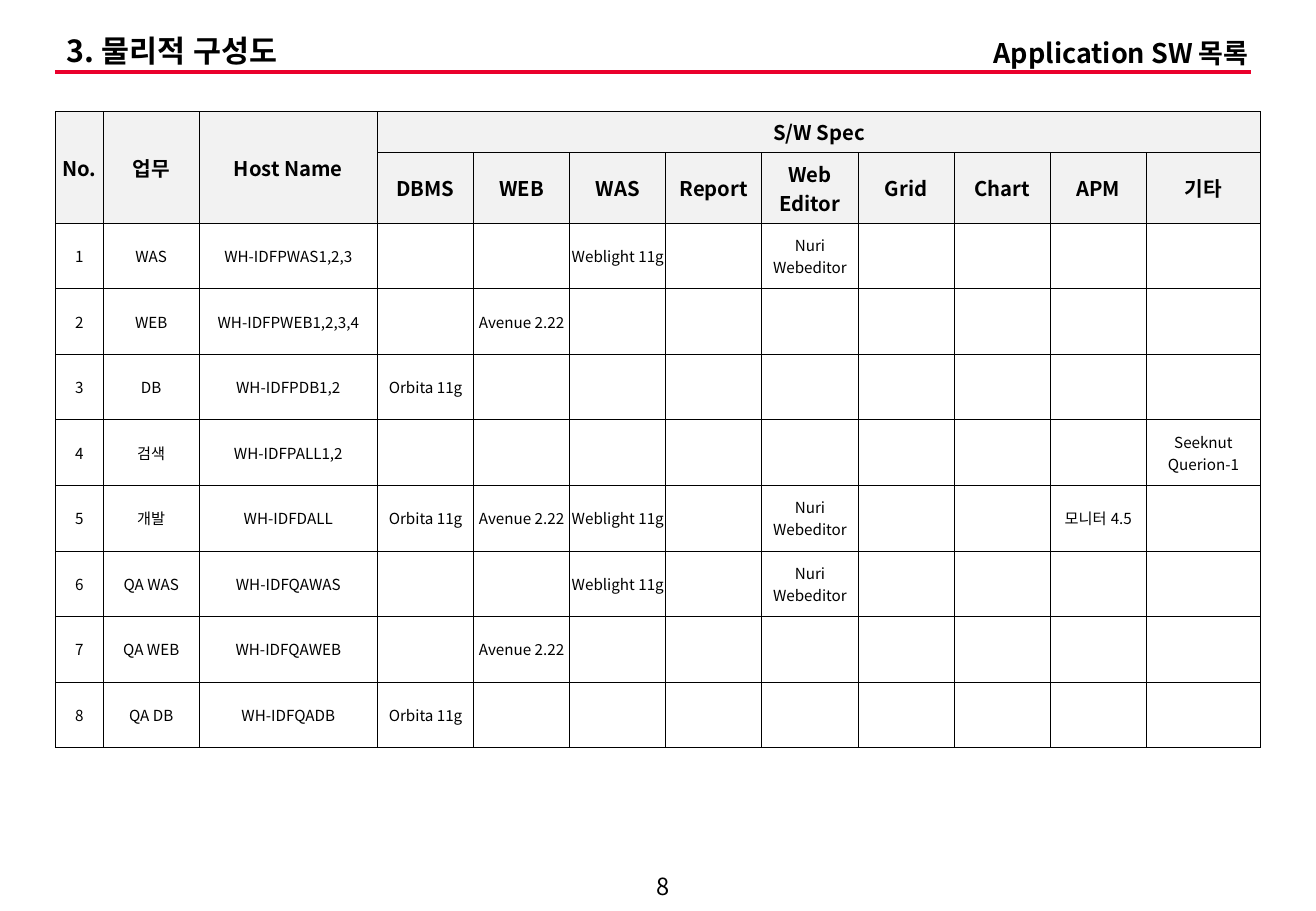
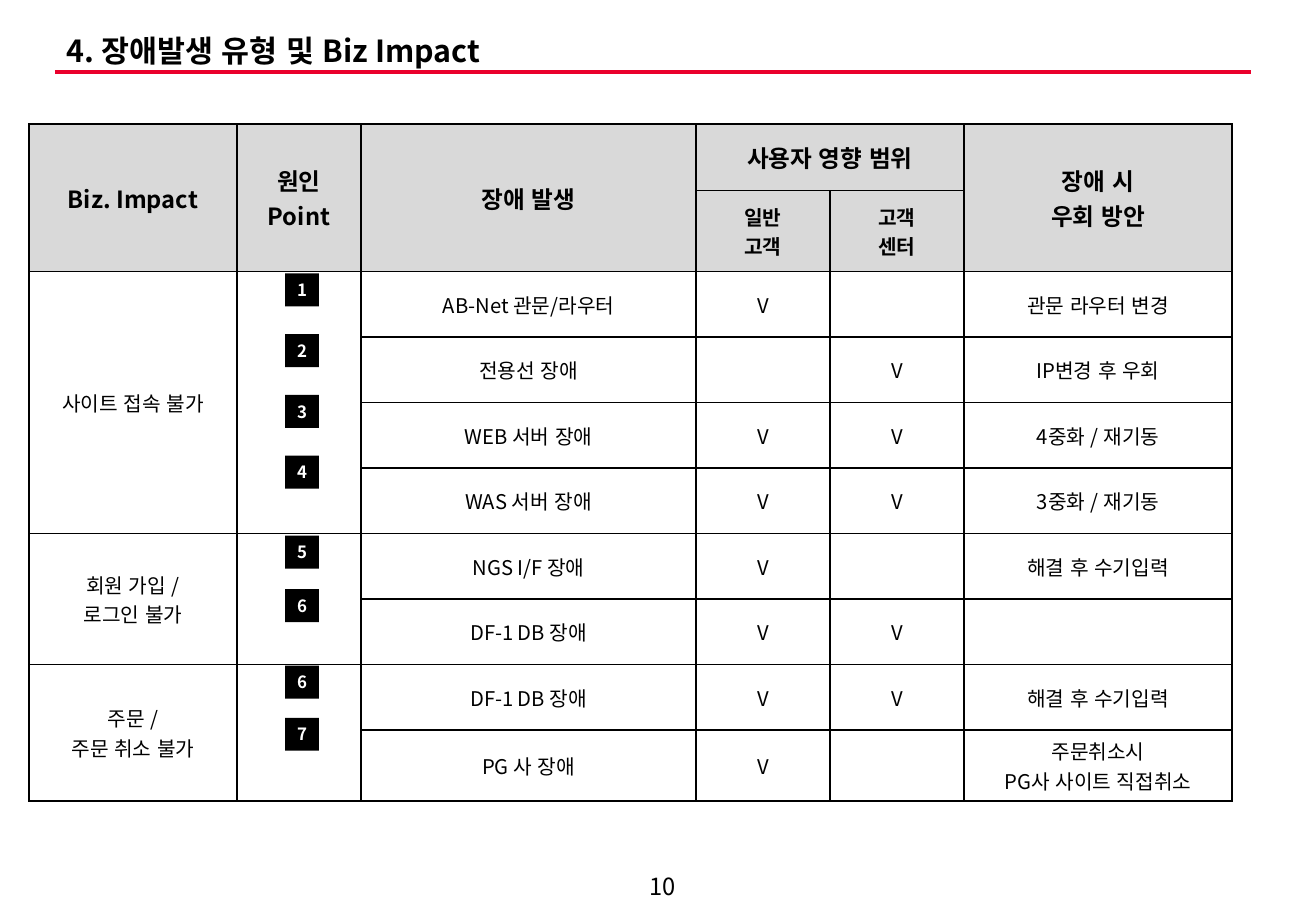
from lxml import etree
from pptx import Presentation
from pptx.dml.color import RGBColor
from pptx.enum.lang import MSO_LANGUAGE_ID
from pptx.enum.shapes import MSO_CONNECTOR, MSO_SHAPE
from pptx.enum.text import MSO_ANCHOR, MSO_AUTO_SIZE, PP_ALIGN
from pptx.oxml.ns import qn
from pptx.util import Cm, Pt

LEFT, CENTER, RIGHT = PP_ALIGN.LEFT, PP_ALIGN.CENTER, PP_ALIGN.RIGHT
TOP, MIDDLE = MSO_ANCHOR.TOP, MSO_ANCHOR.MIDDLE
RECTANGLE, STRAIGHT = MSO_SHAPE.RECTANGLE, MSO_CONNECTOR.STRAIGHT
FIT_SHAPE = MSO_AUTO_SIZE.SHAPE_TO_FIT_TEXT
KOREAN = MSO_LANGUAGE_ID.KOREAN

FONT = "Noto Sans CJK KR"
COLORS = {
    "ink": "000000",
    "paper": "FFFFFF",
    "rule": "EA002C",
    "spec_head": "F2F2F2",
    "impact_head": "D9D9D9",
}

PAGE_WIDTH, PAGE_HEIGHT = 27.51, 19.05
HEADER_BOX = (1.15, 0.64, 25.2, 0.94)
PAGE_NUMBER_BOX = (12.96, 18.14, 1.8, 0.79)
SPEC_BOX = (1.16, 2.33, 25.2, 13.3)
IMPACT_BOX = (0.61, 2.59, 25.15, 14.16)

SPEC_COLUMNS = [1] + [2] + [3.73] + [2.01] * 8 + [2.39]
SPEC_ROWS = [0.86, 1.48] + [1.37] * 8
SOFTWARE = ["DBMS", "WEB", "WAS", "Report", "Web Editor", "Grid", "Chart", "APM", "기타"]
DATABASE = {"DBMS": "Orbita 11g"}
WEB_SERVER = {"WEB": "Avenue 2.22"}
APP_SERVER = {"WAS": "Weblight 11g", "Web Editor": "Nuri Webeditor"}
HOSTS = [
    ("WAS", "WH-IDFPWAS1,2,3", APP_SERVER),
    ("WEB", "WH-IDFPWEB1,2,3,4", WEB_SERVER),
    ("DB", "WH-IDFPDB1,2", DATABASE),
    ("검색", "WH-IDFPALL1,2", {"기타": "Seeknut\nQuerion-1"}),
    ("개발", "WH-IDFDALL", {**DATABASE, **WEB_SERVER, **APP_SERVER, "APM": "모니터 4.5"}),
    ("QA WAS", "WH-IDFQAWAS", APP_SERVER),
    ("QA WEB", "WH-IDFQAWEB", WEB_SERVER),
    ("QA DB", "WH-IDFQADB", DATABASE),
]

IMPACT_COLUMNS = [4.34, 2.6, 7, 2.8, 2.8, 5.61]
IMPACT_ROWS = [1.4, 1.69] + [1.37] * 7 + [1.48]
IMPACT_TEXTS = [
    ["Biz. Impact", "원인Point", "장애 발생", "사용자 영향 범위", "", "장애 시\n우회 방안"],
    ["", "", "", "일반\n고객", "고객\n센터", ""],
    ["사이트 접속 불가", "", "AB-Net 관문/라우터", "V", "", "관문 라우터 변경"],
    ["", "", "전용선 장애", "", "V", "IP변경 후 우회"],
    ["", "", "WEB 서버 장애", "V", "V", "4중화 / 재기동"],
    ["", "", "WAS 서버 장애", "V", "V", "3중화 / 재기동"],
    ["회원 가입 /\n로그인 불가", "", "NGS I/F 장애", "V", "", "해결 후 수기입력"],
    ["", "", "DF-1 DB 장애", "V", "V", ""],
    ["주문 /\n주문 취소 불가", "", "DF-1 DB 장애", "V", "V", "해결 후 수기입력"],
    ["", "", "PG 사 장애", "V", "", "주문취소시\nPG사 사이트 직접취소"],
]
CAUSE_GROUPS = [("1234", 3.13, 1.27), ("56", 8.61, 1.12), ("67", 11.33, 1.09)]


def color(name):
    return RGBColor.from_string(COLORS[name])


def write(frame, text, size, bold=False, align=LEFT, anchor=MIDDLE, ink="ink"):
    frame.text = text
    frame.vertical_anchor = anchor
    for paragraph in frame.paragraphs:
        paragraph.alignment = align
        for run in paragraph.runs:
            run.font.size = Pt(size)
            run.font.bold = bold
            run.font.language_id = KOREAN
            run.font.color.rgb = color(ink)
            run.font.name = FONT
            east_asian = etree.SubElement(run.font._element, qn("a:ea"))
            east_asian.set("typeface", FONT)
        if not paragraph.runs:
            etree.SubElement(paragraph._p, qn("a:endParaRPr")).set("sz", str(size * 100))


def add_label(slide, box, text, size, **style):
    frame = slide.shapes.add_textbox(*map(Cm, box)).text_frame
    frame.word_wrap = True
    write(frame, text, size, **style)
    return frame


def add_header(slide, box, title, subtitle=""):
    left, top, width, height = box
    rule_y = top + 0.87
    rule = slide.shapes.add_connector(
        STRAIGHT, Cm(left), Cm(rule_y), Cm(left + 25), Cm(rule_y))
    rule.line.color.rgb = color("rule")
    rule.line.width = Pt(2.25)
    etree.SubElement(rule._element.spPr, qn("a:effectLst"))
    heading = add_label(slide, (left, top, 24.21, height), title, 18, bold=True)
    heading.auto_size = FIT_SHAPE
    heading.paragraphs[0].line_spacing = 0.9
    if subtitle:
        subtitle_width = 6.96
        topic = add_label(
            slide, (left + width - subtitle_width, top, subtitle_width, height),
            subtitle, 16, bold=True, align=RIGHT, anchor=TOP)
        topic.auto_size = FIT_SHAPE


def add_page(deck, number, title, subtitle=""):
    slide = deck.slides.add_slide(deck.slide_layouts[6])
    add_label(slide, PAGE_NUMBER_BOX, number, 14, align=CENTER)
    add_header(slide, HEADER_BOX, title, subtitle)
    return slide


def set_borders(cell, width):
    properties = cell._tc.get_or_add_tcPr()
    for position, side in enumerate(("lnL", "lnR", "lnT", "lnB")):
        border = etree.Element(qn("a:" + side), w=str(Pt(width)))
        fill = etree.SubElement(border, qn("a:solidFill"))
        etree.SubElement(fill, qn("a:srgbClr")).set("val", COLORS["ink"])
        properties.insert(position, border)


def add_grid(slide, box, columns, rows, texts, merges, head_fill,
             head_sizes, body_size, border, side_margin):
    table = slide.shapes.add_table(len(rows), len(columns), *map(Cm, box)).table
    table.first_row = table.horz_banding = False
    for column, width in zip(table.columns, columns):
        column.width = Cm(width)
    for row, height in zip(table.rows, rows):
        row.height = Cm(height)
    for row, column, row_span, column_span in merges:
        last = table.cell(row + row_span - 1, column + column_span - 1)
        table.cell(row, column).merge(last)
    for row, row_texts in enumerate(texts):
        is_head = row < len(head_sizes)
        size = head_sizes[row] if is_head else body_size
        for column, text in enumerate(row_texts):
            cell = table.cell(row, column)
            cell.margin_left = cell.margin_right = Cm(side_margin)
            write(cell.text_frame, text, size, bold=is_head, align=CENTER)
            cell.vertical_anchor = MIDDLE
            cell.fill.solid()
            cell.fill.fore_color.rgb = color(head_fill if is_head else "paper")
            set_borders(cell, border)


def add_software_table(slide, box):
    texts = [["No.", "업무", "Host Name", "S/W Spec"] + [""] * 8, [""] * 3 + SOFTWARE]
    for number, (duty, host, products) in enumerate(HOSTS, 1):
        texts.append([str(number), duty, host] + [products.get(kind, "") for kind in SOFTWARE])
    merges = [(0, column, 2, 1) for column in range(3)] + [(0, 3, 1, 9)]
    add_grid(slide, box, SPEC_COLUMNS, SPEC_ROWS, texts, merges,
             "spec_head", [12, 12], 9, 0.5, 0)


def add_cause_badge(slide, box, number):
    badge = slide.shapes.add_shape(RECTANGLE, *map(Cm, box))
    badge.shadow.inherit = False
    badge.fill.solid()
    badge.fill.fore_color.rgb = color("ink")
    badge.line.fill.background()
    badge.text_frame.word_wrap = False
    badge.text_frame.auto_size = FIT_SHAPE
    write(badge.text_frame, number, 10, bold=True, align=CENTER, ink="paper")


def add_impact_table(slide, box):
    left, top = box[:2]
    merges = [(0, column, 2, 1) for column in (0, 1, 2, 5)] + [(0, 3, 1, 2)]
    merges += [(row, column, span, 1)
               for row, span in ((2, 4), (6, 2), (8, 2)) for column in (0, 1)]
    add_grid(slide, box, IMPACT_COLUMNS, IMPACT_ROWS, IMPACT_TEXTS, merges,
             "impact_head", [14, 12], 12, 1, 0.25)
    for numbers, offset, step in CAUSE_GROUPS:
        for index, number in enumerate(numbers):
            badge_box = (left + 5.35, top + offset + index * step, 0.71, 0.69)
            add_cause_badge(slide, badge_box, number)


deck = Presentation()
deck.slide_width, deck.slide_height = Cm(PAGE_WIDTH), Cm(PAGE_HEIGHT)
software_page = add_page(deck, "8", "3. 물리적 구성도", "Application SW 목록")
add_software_table(software_page, SPEC_BOX)
impact_page = add_page(deck, "10", "4. 장애발생 유형 및 Biz Impact")
add_impact_table(impact_page, IMPACT_BOX)
deck.save("out.pptx")
